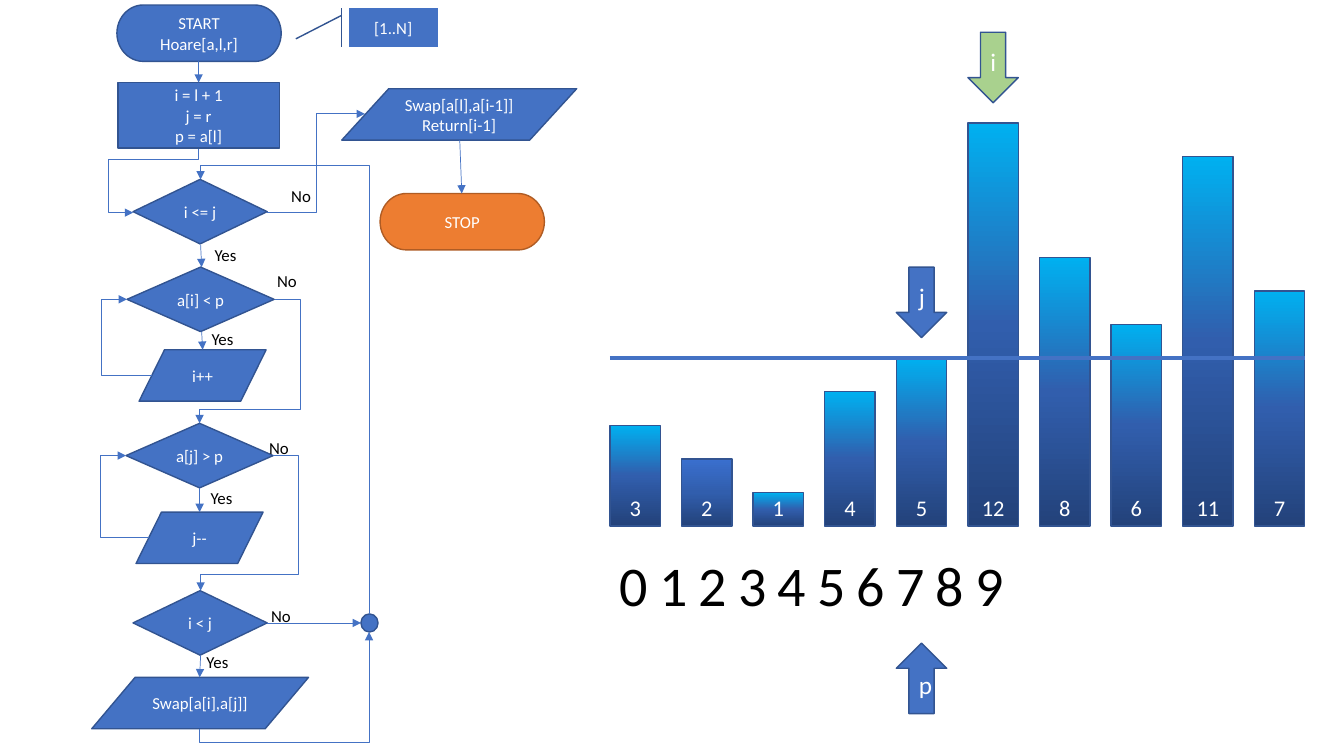
"""Build a slide with the flowchart of Hoare partitioning beside its array as bars."""
from copy import deepcopy

from lxml.etree import SubElement
from pptx import Presentation
from pptx.dml.color import RGBColor
from pptx.enum.shapes import MSO_CONNECTOR as LINK, MSO_SHAPE as SHAPE
from pptx.enum.text import MSO_ANCHOR as ANCHOR, MSO_AUTO_SIZE as FIT, PP_ALIGN as ALIGN
from pptx.oxml.ns import qn
from pptx.util import Inches, Pt

BLUE = RGBColor(0x44, 0x72, 0xC4)
EDGE = RGBColor(0x32, 0x54, 0x91)
ORANGE = RGBColor(0xED, 0x7D, 0x31)
RUST = RGBColor(0xAF, 0x5C, 0x24)
GREEN = RGBColor(0xA9, 0xD1, 0x8E)
NAVY = RGBColor(0x23, 0x42, 0x7A)
ROYAL = RGBColor(0x31, 0x5E, 0xAD)
CYAN = RGBColor(0x00, 0xB0, 0xF0)
COBALT = RGBColor(0x3A, 0x6F, 0xCE)
WHITE = RGBColor(0xFF, 0xFF, 0xFF)
BLACK = RGBColor(0, 0, 0)

VALUES = [3, 2, 1, 4, 5, 12, 8, 6, 11, 7]
PLAIN_TOP = 1
PIVOT = 4
INDICES = "0123456789"
BARS_LEFT, BARS_BASE, BAR_WIDTH, BAR_PITCH, UNIT = 6.05, 5.22, 0.5, 0.71, 1 / 3
POINTERS = [
    ("i", 5, 0.32, SHAPE.DOWN_ARROW, GREEN),
    ("j", PIVOT, 2.65, SHAPE.DOWN_ARROW, BLUE),
    ("p", PIVOT, 6.38, SHAPE.UP_ARROW, BLUE),
]

TERMINAL, IO, TEST = SHAPE.FLOWCHART_TERMINATOR, SHAPE.FLOWCHART_DATA, SHAPE.DIAMOND
STEPS = [
    ("START\nHoare[a,l,r]", TERMINAL, 1.16, 0.05, 1.63, 0.56),
    ("i = l + 1\nj = r\np = a[l]", SHAPE.RECTANGLE, 1.17, 0.82, 1.6, 0.65),
    ("i <= j", TEST, 1.32, 1.78, 1.33, 0.64),
    ("a[i] < p", TEST, 1.26, 2.65, 1.46, 0.64),
    ("i++", IO, 1.38, 3.47, 1.26, 0.51),
    ("a[j] > p", TEST, 1.25, 4.2, 1.46, 0.64),
    ("j--", IO, 1.35, 5.08, 1.26, 0.51),
    ("i < j", TEST, 1.32, 5.86, 1.33, 0.64),
    ("Swap[a[i],a[j]]", IO, 0.91, 6.72, 2.15, 0.51),
    ("Swap[a[l],a[i-1]]\nReturn[i-1]", IO, 3.39, 0.88, 2.33, 0.51),
    ("", SHAPE.OVAL, 3.58, 6.09, 0.17, 0.18),
]
RANGE_NOTE = ("[1..N]", SHAPE.LINE_CALLOUT_1_ACCENT_BAR, 3.46, 0.08, 0.88, 0.39)
RANGE_LEADER = (0.188, -0.083, 0.784, -0.598)
STOP = ("STOP", TERMINAL, 3.77, 1.92, 1.63, 0.56)

ANSWERS = {
    "No": [(2.79, 1.79), (2.65, 2.64), (2.57, 4.29), (2.59, 5.96)],
    "Yes": [(2.03, 2.38), (2, 3.21), (1.99, 4.79), (1.95, 6.42)],
}
ANSWER_WIDTH = {"No": 0.47, "Yes": 0.5}

FLOWS = [
    [(1.97, 0.61), (1.97, 0.82)],
    [(1.99, 2.43), (2, 2.65)],
    [(2, 3.29), (2.01, 3.47)],
    [(1.98, 4.84), (1.98, 5.08)],
    [(1.99, 6.5), (1.98, 6.72)],
    [(4.56, 1.39), (4.58, 1.92)],
    [(2.65, 6.18), (3.58, 6.18)],
    [(1.51, 3.72), (1.01, 3.72), (1.01, 2.97), (1.26, 2.97)],
    [(1.48, 5.33), (1, 5.33), (1, 4.52), (1.25, 4.52)],
    [(2.65, 2.11), (3.14, 2.11), (3.14, 1.13), (3.62, 1.13)],
    [(1.98, 7.23), (1.98, 7.37), (3.66, 7.37), (3.66, 6.27)],
    [(3.66, 6.09), (3.66, 1.64), (1.99, 1.64), (1.99, 1.78)],
    [(2.73, 2.97), (2.98, 2.97), (2.98, 4.06), (1.98, 4.06), (1.98, 4.2)],
    [(2.71, 4.52), (2.96, 4.52), (2.96, 5.7), (1.99, 5.7), (1.99, 5.86)],
    [(1.97, 1.48), (1.97, 1.58), (1.07, 1.58), (1.07, 2.11), (1.32, 2.11)],
]

deck = Presentation()
deck.slide_width, deck.slide_height = Inches(13.33), Inches(7.5)
slide = deck.slides.add_slide(deck.slide_layouts[6])


def write(holder, text, size=12, color=WHITE, align=ALIGN.CENTER, anchor=ANCHOR.MIDDLE, spacing=0):
    """Fill a shape with one paragraph for each line of text."""
    frame = holder.text_frame
    frame.word_wrap = True
    frame.vertical_anchor = anchor
    for row, line in enumerate(text.split("\n")):
        paragraph = frame.add_paragraph() if row else frame.paragraphs[0]
        paragraph.alignment = align
        run = paragraph.add_run()
        run.text = line
        run.font.name, run.font.size, run.font.color.rgb = "Calibri", Pt(size), color
        if spacing:
            run.font._element.set("spc", str(spacing * 100))


def block(text, kind, left, top, width, height, fill=BLUE, edge=EDGE, **style):
    """Draw a preset shape with its text."""
    shape = slide.shapes.add_shape(kind, *map(Inches, (left, top, width, height)))
    shape.shadow.inherit = False
    shape.fill.solid()
    shape.fill.fore_color.rgb = fill
    shape.line.color.rgb, shape.line.width = edge, Pt(1)
    if text:
        write(shape, text, **style)
    return shape


def label(text, left, top, width, height, **style):
    """Place free-standing black text."""
    box = slide.shapes.add_textbox(*map(Inches, (left, top, width, height)))
    write(box, text, color=BLACK, anchor=ANCHOR.TOP, **style)
    box.text_frame.auto_size = FIT.SHAPE_TO_FIT_TEXT


def shade(bar, top_color):
    """Give a bar its upward three-stop gradient."""
    bar.fill.gradient()
    bar.fill.gradient_angle = 90
    first = bar._element.spPr.find(".//" + qn("a:gs"))
    first.addnext(deepcopy(first))
    for stop, place, color in zip(bar.fill.gradient_stops, (0, 0.5, 1), (NAVY, ROYAL, top_color)):
        stop.position, stop.color.rgb = place, color


def link(points, width=0.5, arrow=True):
    """Join points with a straight or elbow connector."""
    (x1, y1), *bends, (x2, y2) = points
    kind = LINK.ELBOW if bends else LINK.STRAIGHT
    connector = slide.shapes.add_connector(kind, *map(Inches, (x1, y1, x2, y2)))
    connector.line.color.rgb, connector.line.width = BLUE, Pt(width)
    properties = connector._element.spPr
    if arrow:
        SubElement(connector.line._get_or_add_ln(), qn("a:tailEnd"), type="triangle")
    SubElement(properties, qn("a:effectLst"))
    if bends:
        bend(connector, points)


def bend(connector, points):
    """Turn an elbow connector so that it follows the points."""
    (x1, y1), *bends, (x2, y2) = points
    upright = bends[0][0] == x1
    along, across = (y2 - y1, x1 - x2) if upright else (x2 - x1, y2 - y1)
    width, height = abs(along), abs(across)
    connector.left, connector.top = Inches((x1 + x2 - width) / 2), Inches((y1 + y2 - height) / 2)
    connector.width, connector.height = Inches(width), Inches(height)
    frame = connector._element.spPr.find(qn("a:xfrm"))
    frame.set("rot", str(90 * 60000 if upright else 0))
    frame.set("flipH", str(int(along < 0)))
    frame.set("flipV", str(int(across < 0)))
    geometry = connector._element.spPr.find(qn("a:prstGeom"))
    geometry.set("prst", f"bentConnector{len(bends) + 1}")
    guides = geometry.find(qn("a:avLst"))
    for turn in range(1, len(bends)):
        axis = (turn + upright + 1) % 2
        start, end = points[0][axis], points[-1][axis]
        share = (points[turn][axis] - start) / (end - start)
        SubElement(guides, qn("a:gd"), name=f"adj{turn}", fmla=f"val {round(share * 100000)}")


for column, value in enumerate(VALUES):
    bar = block(str(value), SHAPE.RECTANGLE, BARS_LEFT + column * BAR_PITCH, BARS_BASE - value * UNIT,
                BAR_WIDTH, value * UNIT, size=16, anchor=ANCHOR.BOTTOM)
    shade(bar, COBALT if column == PLAIN_TOP else CYAN)
label(INDICES, BARS_LEFT, 5.41, 6.98, 0.77, size=40, align=ALIGN.JUSTIFY, spacing=8)
for name, column, top, kind, fill in POINTERS:
    block(name, kind, BARS_LEFT + column * BAR_PITCH, top, BAR_WIDTH, 0.7, fill=fill, size=18)
pivot_level = BARS_BASE - VALUES[PIVOT] * UNIT
bars_right = BARS_LEFT + (len(VALUES) - 1) * BAR_PITCH + BAR_WIDTH
link([(BARS_LEFT, pivot_level), (bars_right, pivot_level)], width=3, arrow=False)

for step in STEPS:
    block(*step)
block(*STOP, fill=ORANGE, edge=RUST)
note = block(*RANGE_NOTE)
for corner, share in enumerate(RANGE_LEADER):
    note.adjustments[corner] = share
for flow in FLOWS:
    link(flow)
for answer, places in ANSWERS.items():
    for left, top in places:
        label(answer, left, top, ANSWER_WIDTH[answer], 0.3, align=ALIGN.LEFT)

deck.save("out.pptx")
